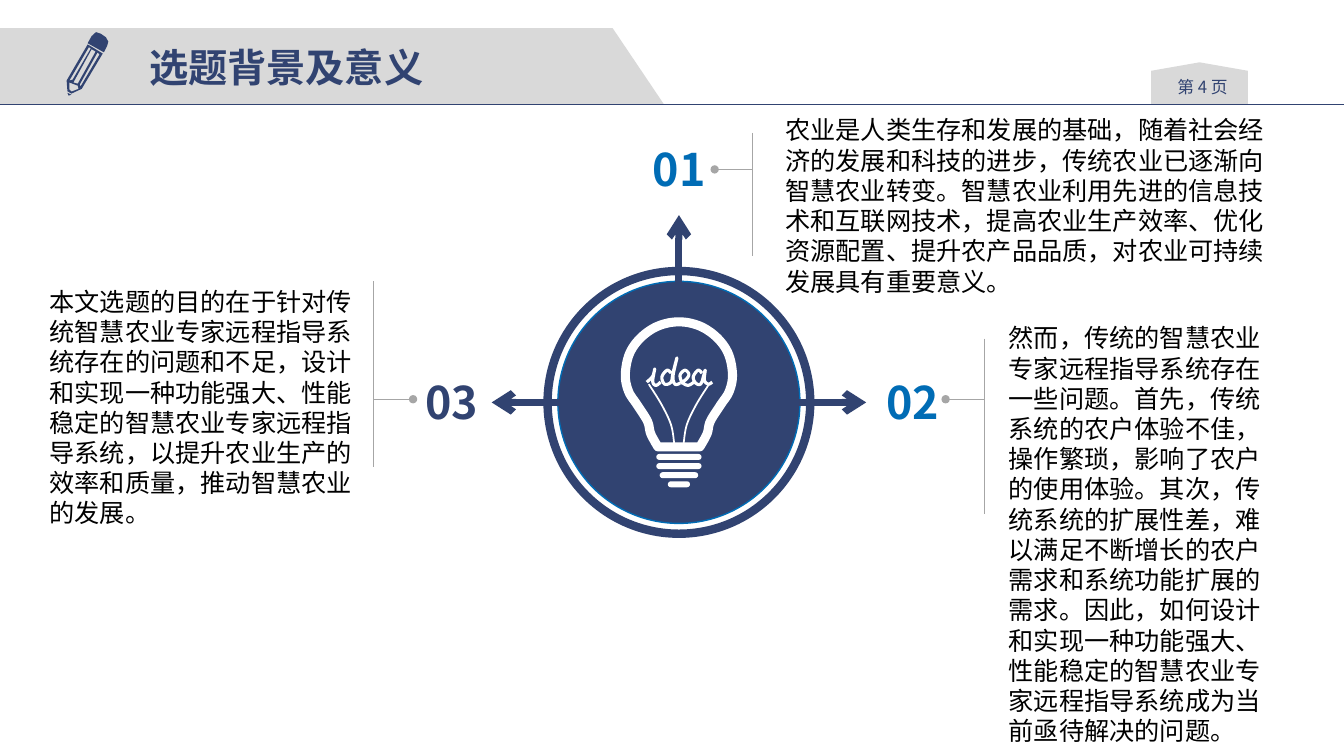
from dataclasses import dataclass

from lxml.etree import SubElement
from pptx import Presentation
from pptx.dml.color import RGBColor
from pptx.enum.shapes import MSO_CONNECTOR, MSO_SHAPE as Preset
from pptx.enum.text import MSO_ANCHOR as Anchor, MSO_AUTO_SIZE as AutoSize, PP_ALIGN as Align
from pptx.oxml.ns import qn
from pptx.util import Cm, Pt


@dataclass(frozen=True)
class Theme:
    navy = RGBColor.from_string("314371")
    blue = RGBColor.from_string("006CB5")
    band = RGBColor.from_string("D9D9D9")
    rule = RGBColor.from_string("A6A6A6")
    white = RGBColor.from_string("FFFFFF")
    black = RGBColor.from_string("000000")
    heading_font = "Noto Sans CJK SC"
    title_size, number_size, body_size, page_size = Pt(28), Pt(32), Pt(18), Pt(12)


def write(box, place, text, size, color, font=Theme.heading_font, bold=False,
          align=Align.LEFT, inset=(0.25, 0.13), wrap=True):
    """Place a text box or placeholder and fill it with one formatted paragraph."""
    box.left, box.top, box.width, box.height = map(Cm, place)
    frame = box.text_frame
    frame.word_wrap, frame.auto_size = wrap, AutoSize.NONE
    frame.vertical_anchor = Anchor.TOP
    frame.margin_left = frame.margin_right = Cm(inset[0])
    frame.margin_top = frame.margin_bottom = Cm(inset[1])
    frame.text = text
    paragraph = frame.paragraphs[0]
    paragraph.alignment, paragraph.line_spacing = align, 1.0
    style = paragraph.font
    style.size, style.bold, style.name = size, bold, font
    style.color.rgb = color
    defaults = paragraph._p.pPr.find(qn("a:defRPr"))
    SubElement(defaults, qn("a:ea"), typeface=Theme.heading_font)


def draw_line(start, end, color, width, head=None):
    line = shapes.add_connector(MSO_CONNECTOR.STRAIGHT, *map(Cm, (*start, *end)))
    line.line.color.rgb, line.line.width = color, Pt(width)
    if head:
        SubElement(line.line._get_or_add_ln(), qn("a:headEnd"), type=head)
    SubElement(line._element.spPr, qn("a:effectLst"))


deck = Presentation()
deck.slide_width, deck.slide_height = Cm(33.87), Cm(19.05)
slide = deck.slides.add_slide(deck.slide_layouts[5])
shapes = slide.shapes

# Freeform points are whole numbers, so outlines are drawn on a fine grid
grid = 1000
grid_scale = Cm(1) / grid

# Header band and pencil: each outline may hold cut-out contours
header_band = [[(0, 0.71), (15.44, 0.71), (16.74, 2.64), (0, 2.64)]]
pencil_cap = [[(2.31, 0.91), (2.42, 0.81), (2.54, 0.85), (2.67, 0.94), (2.73, 1.05),
               (2.7, 1.16), (2.62, 1.32), (2.21, 1.09)]]
pencil_body = [
    [(1.68, 2.03), (1.7, 2.3), (1.8, 2.36), (2.06, 2.24), (2.59, 1.35), (2.21, 1.12)],
    [(1.75, 2.03), (1.83, 2.01), (2.29, 1.22), (2.24, 1.19)],
    [(1.85, 2.08), (1.96, 2.11), (2.41, 1.3), (2.31, 1.24)],
    [(2.01, 2.13), (2.03, 2.18), (2.51, 1.37), (2.46, 1.32)],
    [(1.8, 2.31), (1.98, 2.24), (1.96, 2.16), (1.75, 2.08), (1.75, 2.26)],
]
pencil_lead = [[(1.8, 2.39), (1.7, 2.34), (1.73, 2.41)]]
for contours, color in [(header_band, Theme.band), (pencil_cap, Theme.navy),
                        (pencil_body, Theme.navy), (pencil_lead, Theme.navy)]:
    outer, *cutouts = [[(x * grid, y * grid) for x, y in contour] for contour in contours]
    outline = shapes.build_freeform(*outer[0], scale=grid_scale)
    outline.add_line_segments(outer[1:])
    for cutout in cutouts:
        outline.move_to(*cutout[0])
        outline.add_line_segments(cutout[1:])
    part = outline.convert_to_shape()
    part.shadow.inherit = False
    part.fill.solid()
    part.fill.fore_color.rgb = color
    part.line.fill.background()

# The title placeholder comes first on a new slide; lift it above the band
shapes._spTree.append(shapes.title._element)
write(shapes.title, (3.51, 0.97, 7.42, 1.45), "选题背景及意义",
      Theme.title_size, Theme.navy, bold=True, wrap=False)

page_tab = shapes.add_shape(Preset.FLOWCHART_OFFPAGE_CONNECTOR,
                            Cm(29.01), Cm(1.57), Cm(2.44), Cm(1.07))
page_tab.rotation = 180
page_tab.shadow.inherit = False
page_tab.fill.solid()
page_tab.fill.fore_color.rgb = Theme.band
page_tab.line.fill.background()
write(shapes.add_textbox(0, 0, 0, 0), (29.16, 1.83, 2.29, 0.76), "第 4 页",
      Theme.page_size, Theme.navy, align=Align.CENTER, inset=(0.18, 0.1))
draw_line((0, 2.64), (33.87, 2.64), Theme.navy, 1)

# Hub: ring, disc and three arrows
hub_x, hub_y = 17.11, 10.14
for radius, fill, edge, width in [(3.31, None, Theme.navy, 6),
                                  (3.05, Theme.navy, Theme.blue, 1)]:
    circle = shapes.add_shape(Preset.OVAL, Cm(hub_x - radius), Cm(hub_y - radius),
                              Cm(2 * radius), Cm(2 * radius))
    circle.shadow.inherit = False
    if fill is None:
        circle.fill.background()
    else:
        circle.fill.solid()
        circle.fill.fore_color.rgb = fill
    circle.line.color.rgb, circle.line.width = edge, Pt(width)

tip, tail = 4.72, 2.66
for dx, dy in [(0, -1), (1, 0), (-1, 0)]:
    draw_line((hub_x + tip * dx, hub_y + tip * dy),
              (hub_x + tail * dx, hub_y + tail * dy), Theme.navy, 5, "arrow")

# Light bulb: strokes relative to the hub centre, smoothed as Catmull-Rom curves
glass_half = [(0, -2.03), (0.51, -1.93), (0.94, -1.65), (1.24, -1.24), (1.35, -0.71),
              (1.27, -0.28), (1.04, 0.08), (0.79, 0.48), (0.71, 0.79), (0.53, 1.12)]
glass = [(-x, y) for x, y in reversed(glass_half[1:])] + glass_half
filament = [(0.76, -0.46), (0.44, 0.05), (0.2, 0.56), (0.12, 1.02)]
letter_i = [(-0.81, -0.51), (-0.66, -0.66), (-0.61, -0.84), (-0.66, -0.53),
            (-0.58, -0.43), (-0.46, -0.51)]
letter_d = [(-0.2, -0.74), (-0.3, -0.81), (-0.43, -0.64), (-0.36, -0.46), (-0.2, -0.51),
            (-0.15, -0.74), (-0.05, -1.12), (-0.15, -0.66), (-0.1, -0.46), (0.03, -0.48)]
letter_e = [(0.03, -0.48), (0.18, -0.58), (0.25, -0.71), (0.15, -0.81), (0.03, -0.69),
            (0.08, -0.51), (0.23, -0.43), (0.38, -0.51)]
letter_a = [(0.58, -0.74), (0.48, -0.81), (0.36, -0.64), (0.43, -0.48), (0.56, -0.48),
            (0.66, -0.81), (0.64, -0.56), (0.74, -0.46), (0.84, -0.51)]
bulb_strokes = [(glass, 6.5, True), (filament, 1.25, False),
                ([(-x, y) for x, y in filament], 1.25, False)]
bulb_strokes += [(letter, 2.25, False) for letter in (letter_i, letter_d, letter_e, letter_a)]
steps = 8
for points, width, closed in bulb_strokes:
    padded = [points[0], *points, points[-1]]
    curve = [points[0]]
    for before, start, end, after in zip(padded, padded[1:], padded[2:], padded[3:]):
        for step in range(1, steps + 1):
            t = step / steps
            curve.append(tuple(
                b + 0.5 * t * (c - a + t * (2 * a - 5 * b + 4 * c - d + t * (3 * (b - c) + d - a)))
                for a, b, c, d in zip(before, start, end, after)))
    curve = [((hub_x + x) * grid, (hub_y + y) * grid) for x, y in curve]
    pen = shapes.build_freeform(*curve[0], scale=grid_scale)
    pen.add_line_segments(curve[1:], close=closed)
    stroke = pen.convert_to_shape()
    stroke.shadow.inherit = False
    stroke.fill.background()
    stroke.line.color.rgb, stroke.line.width = Theme.white, Pt(width)

for row, width in enumerate([1.14, 1.14, 0.97, 0.56]):
    thread = shapes.add_shape(Preset.ROUNDED_RECTANGLE, Cm(hub_x - width / 2),
                              Cm(hub_y + 1.3 + 0.23 * row), Cm(width), Cm(0.15))
    thread.adjustments[0] = 0.5
    thread.shadow.inherit = False
    thread.fill.solid()
    thread.fill.fore_color.rgb = Theme.white
    thread.line.fill.background()

# Numbered points: number, leader with dot, vertical rule, text
topics = [
    ("01", Theme.blue, (16.23, 3.58), (18.01, 4.27), (18.97, 3.35, 6.45),
     (19.54, 2.76, 13.03, 4.6), "Calibri",
     "农业是人类生存和发展的基础，随着社会经济的发展和科技的进步，传统农业已逐渐向智慧农业转变。"
     "智慧农业利用先进的信息技术和互联网技术，提高农业生产效率、优化资源配置、提升农产品品质，"
     "对农业可持续发展具有重要意义。"),
    ("02", Theme.blue, (22.12, 9.45), (23.83, 10.06), (24.8, 8.53, 12.95),
     (25.17, 8, 7.39, 3.38), "Calibri",
     "然而，传统的智慧农业专家远程指导系统存在一些问题。首先，传统系统的农户体验不佳，操作繁琐，"
     "影响了农户的使用体验。其次，传统系统的扩展性差，难以满足不断增长的农户需求和系统功能扩展的需求。"
     "因此，如何设计和实现一种功能强大、性能稳定的智慧农业专家远程指导系统成为当前亟待解决的问题。"),
    ("03", Theme.navy, (10.49, 9.45), (10.41, 10.06), (9.42, 7.09, 11.76),
     (1, 7.08, 8.33, 5.51), "Times New Roman",
     "本文选题的目的在于针对传统智慧农业专家远程指导系统存在的问题和不足，设计和实现一种功能强大、"
     "性能稳定的智慧农业专家远程指导系统，以提升农业生产的效率和质量，推动智慧农业的发展。"),
]
for number, color, corner, dot, (rule_x, rule_top, rule_bottom), place, font, text in topics:
    write(shapes.add_textbox(0, 0, 0, 0), (*corner, 1.78, 1.37), number, Theme.number_size,
          color, bold=True, align=Align.CENTER, inset=(0, 0))
    draw_line((rule_x, rule_top), (rule_x, rule_bottom), Theme.rule, 0.75)
    draw_line(dot, (rule_x, dot[1]), Theme.rule, 0.75, "oval")
    write(shapes.add_textbox(0, 0, 0, 0), place, text, Theme.body_size, Theme.black, font)

deck.save("out.pptx")
